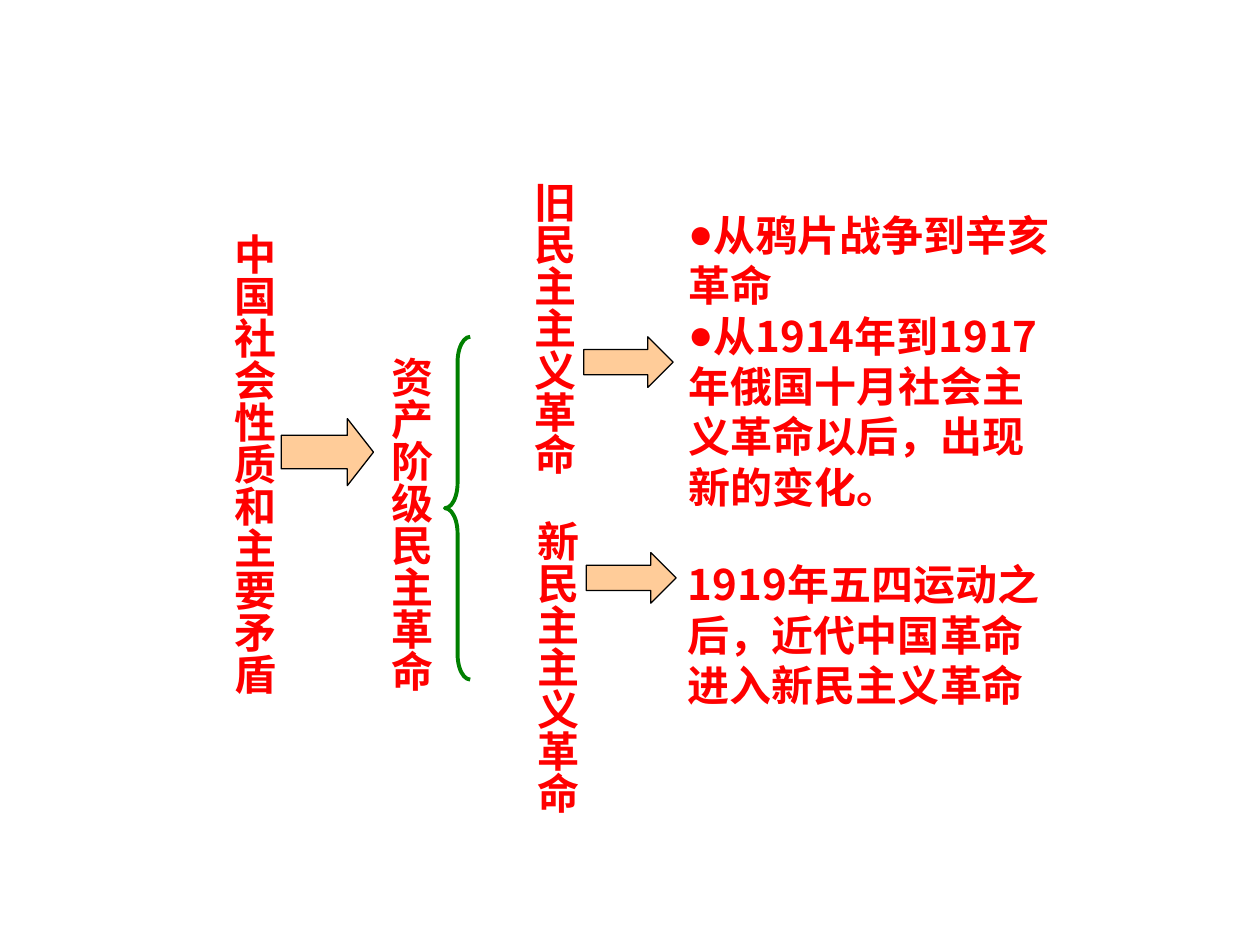
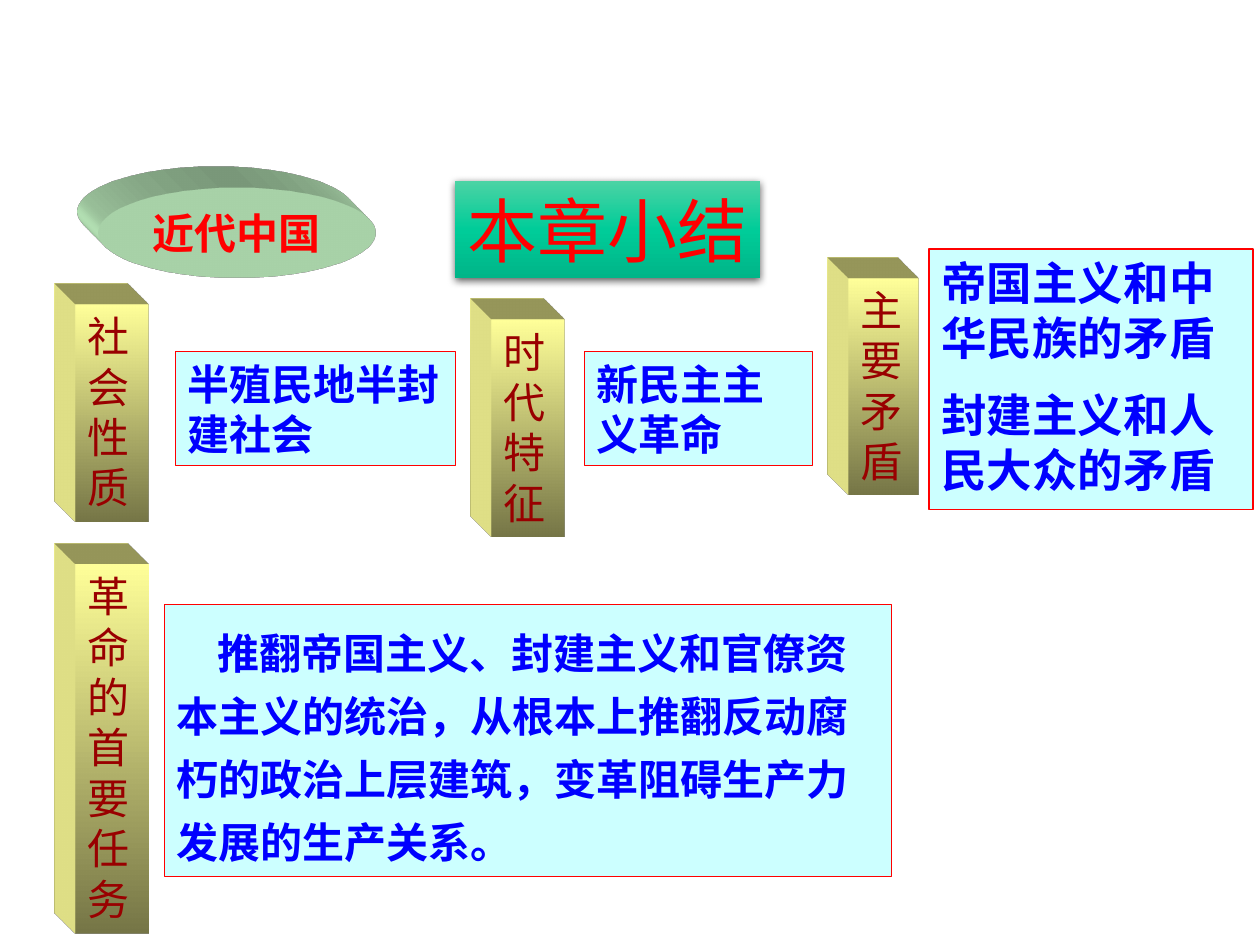
from dataclasses import dataclass

from pptx import Presentation
from pptx import util as u
from pptx.dml.color import RGBColor
from pptx.enum import lang, shapes, text
from pptx.oxml import ns, parse_xml

RED = RGBColor(0xFF, 0x00, 0x00)
BLUE = RGBColor(0x00, 0x00, 0xFF)
WINE = RGBColor(0x99, 0x00, 0x00)
BLACK = RGBColor(0x00, 0x00, 0x00)
GREEN = RGBColor(0x00, 0x80, 0x00)
PEACH = RGBColor(0xFF, 0xCC, 0x99)
SKY = RGBColor(0xCC, 0xFF, 0xFF)
MINT = RGBColor(0xCC, 0xFF, 0xCC)
LEMON = RGBColor(0xFF, 0xFF, 0x99)
GOLD = ((0, LEMON), (100, RGBColor(0x76, 0x76, 0x47)))
JADE = ((0, RGBColor(0x4B, 0xD3, 0xA4)), (50, RGBColor(0x00, 0xCC, 0x99)),
        (100, RGBColor(0x00, 0xB5, 0x88)))

NOTO = "Noto Sans CJK SC"
ARIAL = "Arial"
TIMES = "Times New Roman"
KIND = shapes.MSO_SHAPE
XMLNS = ns.nsdecls("a")


@dataclass
class Box:
    x: float
    y: float
    w: float
    h: float

    def cm(self) -> tuple:
        return tuple(u.Cm(v) for v in (self.x, self.y, self.w, self.h))


@dataclass
class Style:
    font: str
    color: RGBColor
    size: int = 24
    bold: bool = True


@dataclass
class Label:
    box: Box
    words: str
    style: Style
    inset: float = 0


@dataclass
class Card:
    box: Box
    words: str
    size: int = 24
    lead: float = 1.0
    indent: float = 0
    drop: float = 0.13


HEAD = Style(NOTO, RED)
TALL = Style(ARIAL, RED)
POST = Style(TIMES, WINE, bold=False)

# Slide 1 parts
LABELS = [
    Label(Box(4.24, 4.45, 1.52, 11.28), "中国社会性质和主要矛盾", TALL),
    Label(Box(7.39, 6.93, 1.52, 7.67), "资产阶级民主革命", HEAD),
    Label(Box(10.46, 3.57, 1.4, 6.32), "旧民主主义革命", TALL, 0.18),
    Label(Box(10.34, 10.24, 1.52, 6.76), "新民主主义革命", TALL),
]
ARROWS = [(Box(5.67, 8.44, 1.86, 1.35), 0.39),
          (Box(11.77, 6.79, 1.8, 1.02), 0.5),
          (Box(11.82, 11.14, 1.81, 1.02), 0.5)]
POINTS = "从鸦片战争到辛亥革命\n从1914年到1917年俄国十月社会主义革命以后，出现新的变化。"
AFTER = "1919年五四运动之后，近代中国革命进入新民主义革命"

# Slide 2 parts
POSTS = [
    (Box(1.52, 6.14, 1.48, 4.37), "社会性质"),
    (Box(1.52, 11.38, 1.48, 7.44), "革命的首要任务"),
    (Box(17.1, 5.61, 1.41, 4.37), "主要矛盾"),
    (Box(9.9, 6.45, 1.48, 4.37), "时代特征"),
]
CARDS = [
    Card(Box(3.54, 7.09, 5.64, 2.3), "半殖民地半封建社会"),
    Card(Box(3.31, 12.19, 14.66, 5.48),
         "推翻帝国主义、封建主义和官僚资本主义的统治，从根本上推翻反动腐朽的"
         "政治上层建筑，变革阻碍生产力发展的生产关系。",
         lead=1.25, indent=0.83, drop=0.21),
    Card(Box(18.73, 5.02, 6.53, 5.26),
         "帝国主义和中华民族的矛盾\n封建主义和人民大众的矛盾", size=26),
    Card(Box(11.78, 7.09, 4.6, 2.3), "新民主主义革命"),
]


def write(shape, words: str, style: Style, wrap: bool = True,
          align=text.PP_ALIGN.LEFT, anchor=text.MSO_ANCHOR.TOP,
          bullet: str = "", indent: float = 0, gap: float = 0,
          lead: float = 1.0) -> None:
    frame = shape.text_frame
    frame.text = words
    frame.word_wrap = wrap
    frame.auto_size = text.MSO_AUTO_SIZE.NONE
    frame.vertical_anchor = anchor
    for i, para in enumerate(frame.paragraphs):
        props = para._p.get_or_add_pPr()
        props.set("marL", "0")
        props.set("indent", str(u.Cm(indent)))
        if bullet:
            props.append(parse_xml(f'<a:buChar {XMLNS} char="{bullet}"/>'))
        para.alignment = align
        para.line_spacing = lead
        para.space_before = u.Pt(gap if i else 0)
        for run in para.runs:
            font = run.font
            font.name, font.size, font.bold = style.font, u.Pt(style.size), style.bold
            font.color.rgb = style.color
            font.language_id = lang.MSO_LANGUAGE_ID.SIMPLIFIED_CHINESE
            run._r.rPr.find(ns.qn("a:latin")).addnext(
                parse_xml(f'<a:ea {XMLNS} typeface="{NOTO}"/>'))


def blend(shape, stops: tuple) -> None:
    shape.fill.gradient()
    shape.fill.gradient_angle = 270
    items = shape._element.spPr.find(".//" + ns.qn("a:gsLst"))
    for item in list(items):
        items.remove(item)
    for pos, color in stops:
        items.append(parse_xml(f'<a:gs {XMLNS} pos="{pos * 1000}">'
                               f'<a:srgbClr val="{color}"/></a:gs>'))


def raise_up(shape, color: RGBColor) -> None:
    props = shape._element.spPr
    props.append(parse_xml(
        f'<a:scene3d {XMLNS}><a:camera prst="legacyObliqueTopLeft"/>'
        '<a:lightRig rig="legacyFlat3" dir="b"/></a:scene3d>'))
    props.append(parse_xml(
        f'<a:sp3d {XMLNS} extrusionH="430200" prstMaterial="legacyMatte">'
        '<a:bevelT w="13500" h="13500" prst="angle"/>'
        '<a:bevelB w="13500" h="13500" prst="angle"/>'
        f'<a:extrusionClr><a:srgbClr val="{color}"/></a:extrusionClr></a:sp3d>'))


def place(shape, box: Box) -> None:
    shape.left, shape.top, shape.width, shape.height = box.cm()


def draw(slide, kind, box: Box, fill=None, line=None, width: float = 0.75):
    shape = slide.shapes.add_shape(kind, *box.cm())
    shape.shadow.inherit = False
    if fill is None:
        shape.fill.background()
    else:
        shape.fill.solid()
        shape.fill.fore_color.rgb = fill
    if line is None:
        shape.line.fill.background()
    else:
        shape.line.color.rgb = line
        shape.line.width = u.Pt(width)
    return shape


def tall(slide, label: Label) -> None:
    shape = slide.shapes.add_textbox(*label.box.cm())
    write(shape, label.words, label.style)
    frame = shape.text_frame
    if label.inset:
        frame.margin_left = frame.margin_right = u.Cm(label.inset)
        frame.margin_top = frame.margin_bottom = u.Cm(label.inset / 2)
    frame._txBody.bodyPr.set("vert", "eaVert")


def arrow(slide, box: Box, tip: float) -> None:
    shape = draw(slide, KIND.RIGHT_ARROW, box, PEACH, BLACK)
    shape.adjustments[0] = 0.5
    shape.adjustments[1] = tip


def post(slide, box: Box, words: str) -> None:
    shape = draw(slide, KIND.RECTANGLE, box)
    blend(shape, GOLD)
    raise_up(shape, LEMON)
    write(shape, words, POST)


def disc(slide, box: Box, words: str) -> None:
    shape = draw(slide, KIND.OVAL, box, MINT)
    raise_up(shape, MINT)
    write(shape, words, Style(TIMES, RED), wrap=False,
          align=text.PP_ALIGN.CENTER, anchor=text.MSO_ANCHOR.MIDDLE)


def card(slide, item: Card) -> None:
    shape = draw(slide, KIND.RECTANGLE, item.box, SKY, RED)
    write(shape, item.words, Style(NOTO, BLUE, item.size),
          indent=item.indent, gap=13, lead=item.lead)
    shape.text_frame.margin_top = u.Cm(item.drop)


def route(deck) -> None:
    slide = deck.slides.add_slide(deck.slide_layouts[1])
    title = slide.shapes.title._element
    title.getparent().remove(title)
    for label in LABELS:
        tall(slide, label)
    for box, tip in ARROWS:
        arrow(slide, box, tip)
    brace = draw(slide, KIND.LEFT_BRACE, Box(8.97, 6.79, 0.51, 6.91),
                 line=GREEN, width=2.25)
    brace.adjustments[0] = 1.0
    brace.adjustments[1] = 0.5
    # Outcomes on the right
    body = slide.placeholders[1]
    place(body, Box(13.62, 4.09, 7.87, 6.4))
    write(body, POINTS, HEAD, bullet="●")
    note = slide.shapes.add_textbox(*Box(13.62, 11.14, 7.87, 3.33).cm())
    write(note, AFTER, HEAD)


def recap(deck) -> None:
    slide = deck.slides.add_slide(deck.slide_layouts[5])
    # Title plate
    title = slide.shapes.title
    place(title, Box(9.17, 3.65, 6.15, 1.96))
    blend(title, JADE)
    title._element.spPr.append(parse_xml(
        f'<a:effectLst {XMLNS}><a:outerShdw blurRad="57150" '
        'dist="19050" dir="5400000" rotWithShape="0"><a:srgbClr val="000000">'
        '<a:alpha val="63000"/></a:srgbClr></a:outerShdw></a:effectLst>'))
    write(title, "本章小结", Style(ARIAL, RED, 40, False), wrap=False,
          align=text.PP_ALIGN.CENTER, anchor=text.MSO_ANCHOR.MIDDLE)
    # Raised labels and their cards
    disc(slide, Box(1.98, 3.79, 5.59, 1.8), "近代中国")
    for box, words in POSTS:
        post(slide, box, words)
    for item in CARDS:
        card(slide, item)


def main() -> None:
    deck = Presentation()
    deck.slide_width, deck.slide_height = u.Cm(25.4), u.Cm(19.05)
    route(deck)
    recap(deck)
    deck.save("out.pptx")


if __name__ == "__main__":
    main()
